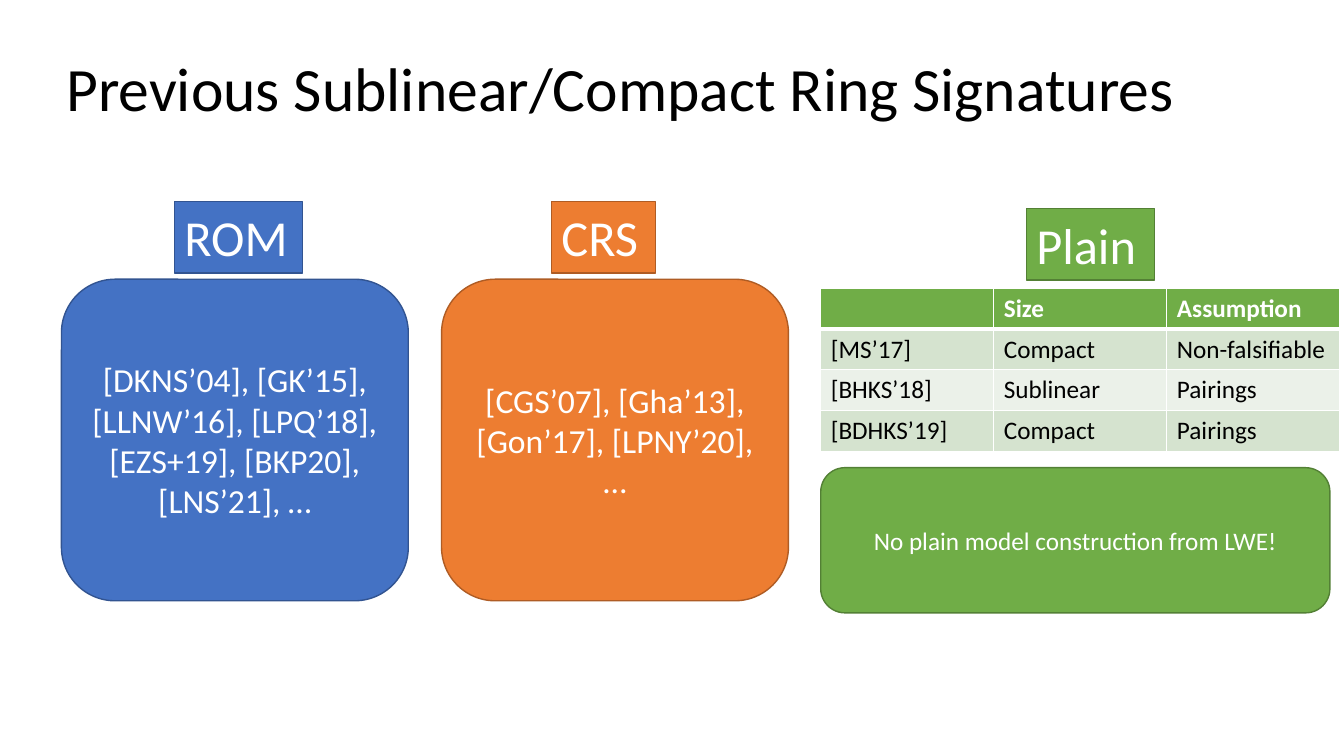
from lxml import etree
from pptx import Presentation
from pptx.dml.color import RGBColor
from pptx.enum.shapes import MSO_SHAPE
from pptx.enum.text import MSO_ANCHOR, PP_ALIGN
from pptx.oxml.ns import qn
from pptx.util import Inches, Pt

RECT, ROUNDED = MSO_SHAPE.RECTANGLE, MSO_SHAPE.ROUNDED_RECTANGLE
LEFT, CENTER = PP_ALIGN.LEFT, PP_ALIGN.CENTER
TOP, MIDDLE = MSO_ANCHOR.TOP, MSO_ANCHOR.MIDDLE
FONT = "Calibri"
WHITE, BLACK = "FFFFFF", "000000"
BLUE, ORANGE, GREEN = ("4472C4", "325491"), ("ED7D31", "AF5C24"), ("70AD47", "538035")
BANDS = ("D5E3CF", "EBF1E9")
ROW_HEIGHT = 0.405
RESULTS = [
    ("", "Size", "Assumption"),
    ("[MS’17]", "Compact", "Non-falsifiable"),
    ("[BHKS’18]", "Sublinear", "Pairings"),
    ("[BDHKS’19]", "Compact", "Pairings"),
]


def color(value):
    return RGBColor.from_string(value)


def inches(box):
    return [Inches(length) for length in box]


def write(frame, text, size, ink, align=LEFT, bold=False):
    para = frame.paragraphs[0]
    para.text = text
    para.alignment = align
    para.font.name = FONT
    para.font.size = Pt(size)
    para.font.bold = bold
    para.font.color.rgb = color(ink)
    return para


def add_title(page, box, text):
    frame = page.shapes.add_textbox(*inches(box)).text_frame
    frame.word_wrap = True
    frame.vertical_anchor = MIDDLE
    write(frame, text, 44, BLACK).line_spacing = 0.9


def add_panel(page, kind, box, palette, text, size, align=CENTER, anchor=MIDDLE, wrap=True):
    panel = page.shapes.add_shape(kind, *inches(box))
    panel.shadow.inherit = False
    fill, line = palette
    panel.fill.solid()
    panel.fill.fore_color.rgb = color(fill)
    panel.line.color.rgb = color(line)
    panel.line.width = Pt(1)
    frame = panel.text_frame
    frame.word_wrap = wrap
    frame.vertical_anchor = anchor
    write(frame, text, size, WHITE, align)


def add_label(page, box, palette, text):
    add_panel(page, RECT, box, palette, text, 36, LEFT, TOP, False)


def add_model(page, box, label_left, label_width, palette, label, citations):
    left, top, width, height = box
    add_label(page, (left + label_left, top, label_width, 0.71), palette, label)
    add_panel(page, ROUNDED, (left, top + 0.77, width, height - 0.77), palette, citations, 24)


def set_borders(cell, bottom):
    properties = cell._tc.get_or_add_tcPr()
    widths = {"a:lnL": 1, "a:lnR": 1, "a:lnT": 1, "a:lnB": bottom}
    for index, (tag, width) in enumerate(widths.items()):
        line = etree.Element(qn(tag), w=str(Pt(width)))
        fill = etree.SubElement(line, qn("a:solidFill"))
        etree.SubElement(fill, qn("a:srgbClr"), val=WHITE)
        properties.insert(index, line)


def add_results(page, box):
    table = page.shapes.add_table(len(RESULTS), len(RESULTS[0]), *inches(box)).table
    for row, values in enumerate(RESULTS):
        header = row == 0
        for column, value in enumerate(values):
            cell = table.cell(row, column)
            cell.fill.solid()
            cell.fill.fore_color.rgb = color(GREEN[0] if header else BANDS[(row - 1) % 2])
            write(cell.text_frame, value, 18, WHITE if header else BLACK, bold=header)
            set_borders(cell, 3 if header else 1)


def add_plain_model(page, box):
    left, top, width, height = box
    add_label(page, (left + 2.04, top, 1.27, 0.71), GREEN, "Plain")
    add_results(page, (left, top + 0.79, width, ROW_HEIGHT * len(RESULTS)))
    add_panel(page, ROUNDED, (left, top + 2.57, width - 0.1, height - 2.57), GREEN,
              "No plain model construction from LWE!", 18)


def main():
    deck = Presentation()
    deck.slide_width, deck.slide_height = Inches(13.33), Inches(7.5)
    page = deck.slides.add_slide(deck.slide_layouts[6])
    add_title(page, (0.56, 0.39, 11.5, 1.03), "Previous Sublinear/Compact Ring Signatures")
    add_model(page, (0.61, 2, 3.44, 3.96), 1.12, 1.27, BLUE, "ROM",
              "[DKNS’04], [GK’15], [LLNW’16], [LPQ’18], [EZS+19], [BKP20], [LNS’21], …")
    add_model(page, (4.38, 2, 3.44, 3.96), 1.09, 1.03, ORANGE, "CRS",
              "[CGS’07], [Gha’13], [Gon’17], [LPNY’20], …")
    add_plain_model(page, (8.14, 2.07, 5.15, 4.01))
    deck.save("out.pptx")


if __name__ == "__main__":
    main()
